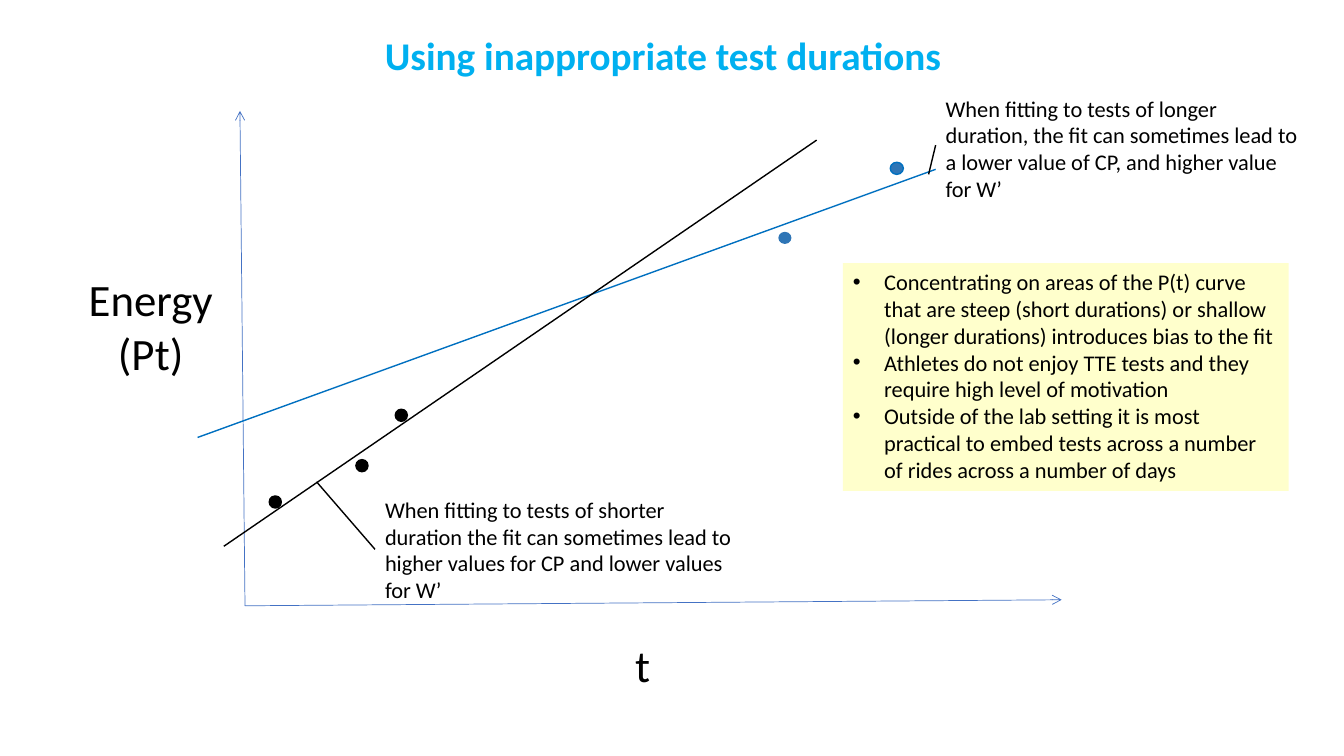
from dataclasses import dataclass

from lxml.etree import SubElement
from pptx import Presentation
from pptx.dml.color import RGBColor
from pptx.enum.shapes import MSO_CONNECTOR, MSO_SHAPE
from pptx.enum.text import MSO_ANCHOR, MSO_AUTO_SIZE, PP_ALIGN
from pptx.oxml.ns import qn
from pptx.util import Inches, Pt


@dataclass(frozen=True)
class Theme:
    """Colours, font and type sizes of the slide."""
    font: str = "Calibri"
    title_size: int = 28
    axis_size: int = 32
    body_size: int = 16
    title: str = "00B0F0"
    ink: str = "000000"
    axis: str = "4472C4"
    long_fit: str = "0070C0"
    long_dot: str = "2E75B6"
    panel: str = "FFFFCC"


def rgb(code):
    """Turn a hex code into a colour."""
    return RGBColor.from_string(code)


def write(tf, text, *, font, size, color, bold=False, align=PP_ALIGN.LEFT,
          anchor=MSO_ANCHOR.TOP, hanging=None):
    """Fill a text frame, one paragraph per line of text."""
    tf.text = text
    tf.word_wrap = True
    tf.auto_size = MSO_AUTO_SIZE.NONE
    tf.vertical_anchor = anchor
    for p in tf.paragraphs:
        p.alignment = align
        p.space_before = Pt(0)
        f = p.runs[0].font
        f.name, f.size, f.bold = font, Pt(size), bold
        f.color.rgb = rgb(color)
        if hanging:
            pPr = p._p.get_or_add_pPr()
            pPr.set("marL", str(Inches(hanging)))
            pPr.set("indent", str(-Inches(hanging)))
            SubElement(pPr, qn("a:buFont")).set("typeface", "Arial")
            SubElement(pPr, qn("a:buChar")).set("char", "•")


class SlideBuilder:
    """Draws themed elements on one slide."""

    def __init__(self, slide, theme):
        """Keep the slide and its theme."""
        self.s, self.theme = slide, theme

    def place(self, sp, box):
        """Move and size a shape."""
        sp.left, sp.top, sp.width, sp.height = map(Inches, box)

    def title(self, text, box):
        """Write the slide title."""
        t, sp = self.theme, self.s.shapes.title
        self.place(sp, box)
        write(sp.text_frame, text, font=t.font, size=t.title_size, color=t.title,
              bold=True, align=PP_ALIGN.CENTER)

    def bullets(self, items, box):
        """Write the bulleted panel."""
        t, sp = self.theme, self.s.placeholders[1]
        self.place(sp, box)
        sp.fill.solid()
        sp.fill.fore_color.rgb = rgb(t.panel)
        write(sp.text_frame, "\n".join(items), font=t.font, size=t.body_size,
              color=t.ink, hanging=0.31)

    def label(self, text, box, size, align=PP_ALIGN.LEFT):
        """Add a text box."""
        sp = self.s.shapes.add_textbox(*map(Inches, box))
        write(sp.text_frame, text, font=self.theme.font, size=size,
              color=self.theme.ink, align=align)

    def line(self, start, end, color, width=1, arrow=False):
        """Add a straight line, with an optional arrowhead at its end."""
        c = self.s.shapes.add_connector(MSO_CONNECTOR.STRAIGHT,
                                        *map(Inches, start + end))
        c.line.color.rgb = rgb(color)
        c.line.width = Pt(width)
        spPr = c.element.spPr
        if arrow:
            SubElement(spPr.find(qn("a:ln")), qn("a:tailEnd")).set("type", "arrow")
        SubElement(spPr, qn("a:effectLst"))

    def dot(self, x, y, width, fill, outline=None):
        """Add a data point."""
        sp = self.s.shapes.add_shape(MSO_SHAPE.OVAL,
                                     *map(Inches, (x, y, width, 0.12)))
        sp.shadow.inherit = False
        sp.fill.solid()
        sp.fill.fore_color.rgb = rgb(fill)
        if outline:
            sp.line.color.rgb = rgb(outline)
            sp.line.width = Pt(1)
        else:
            sp.line.fill.background()


def main():
    """Build and save the slide."""
    prs = Presentation()
    prs.slide_width, prs.slide_height = Inches(13.33), Inches(7.5)
    theme = Theme()
    b = SlideBuilder(prs.slides.add_slide(prs.slide_layouts[1]), theme)

    b.title("Using inappropriate test durations", (3.66, 0.26, 5.83, 0.57))
    b.bullets([
        "Concentrating on areas of the P(t) curve that are steep (short durations) "
        "or shallow (longer durations) introduces bias to the fit",
        "Athletes do not enjoy TTE tests and they require high level of motivation",
        "Outside of the lab setting it is most practical to embed tests across "
        "a number of rides across a number of days",
    ], (8.36, 2.61, 4.42, 2.26))

    origin = (2.43, 6.01)
    for tip in ((2.38, 1.1), (10.53, 5.95)):
        b.line(origin, tip, theme.axis, width=0.5, arrow=True)
    b.label("t", (5.65, 6.28, 1.45, 0.64), theme.axis_size, PP_ALIGN.CENTER)
    b.label("Energy\n(Pt)", (0.77, 2.65, 1.45, 1.18), theme.axis_size,
            PP_ALIGN.CENTER)

    b.line((1.96, 4.34), (9.28, 1.68), theme.long_fit)
    b.line((2.22, 5.42), (8.1, 1.39), theme.ink)
    for x, y in ((2.67, 4.92), (3.53, 4.56), (3.92, 4.06)):
        b.dot(x, y, 0.12, theme.ink, theme.ink)
    b.dot(7.72, 2.3, 0.13, theme.long_dot)
    b.dot(8.83, 1.61, 0.13, theme.long_dot, theme.long_fit)

    b.label("When fitting to tests of longer duration, the fit can sometimes lead "
            "to a lower value of CP, and higher value for W’",
            (9.28, 0.89, 3.72, 1.18), theme.body_size)
    b.label("When fitting to tests of shorter duration the fit can sometimes lead "
            "to higher values for CP and lower values for W’",
            (3.72, 4.87, 3.72, 1.18), theme.body_size)
    b.line((9.28, 1.44), (9.21, 1.73), theme.ink)
    b.line((3.72, 5.45), (3.14, 4.78), theme.ink)

    prs.save("out.pptx")


main()
